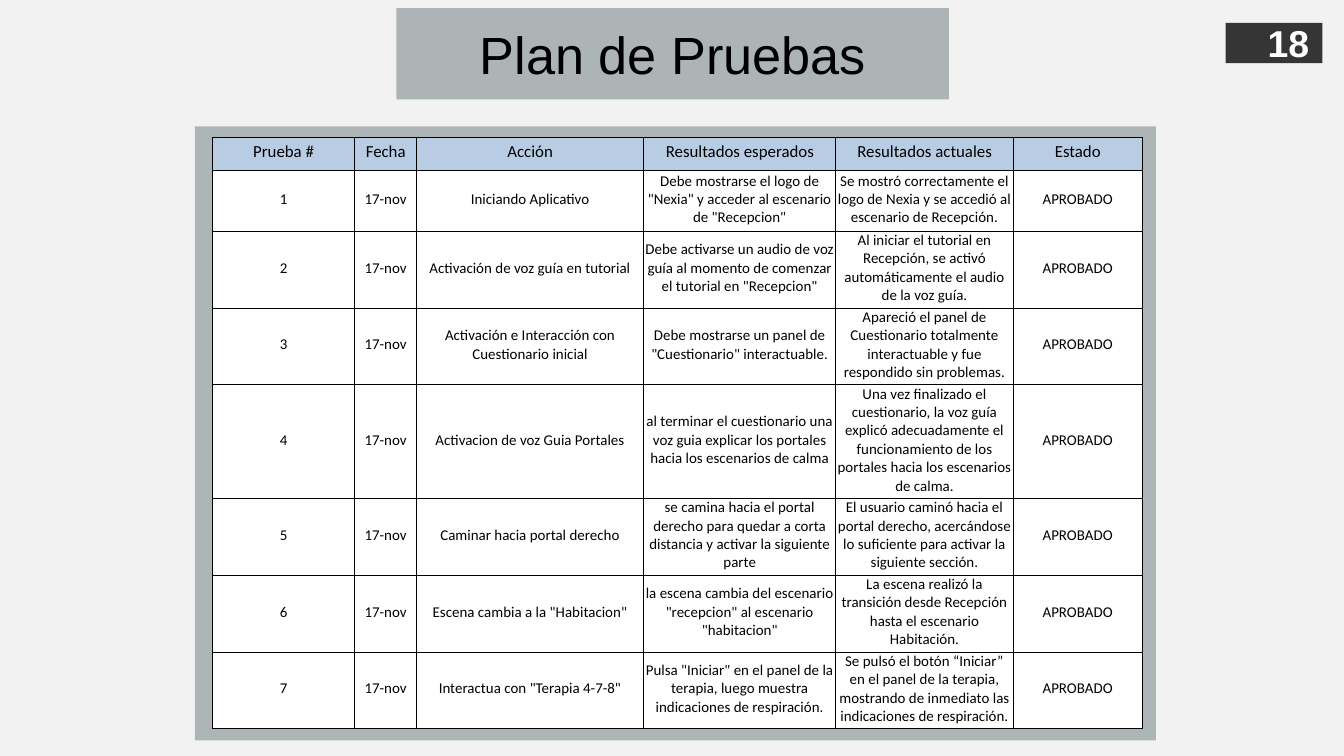
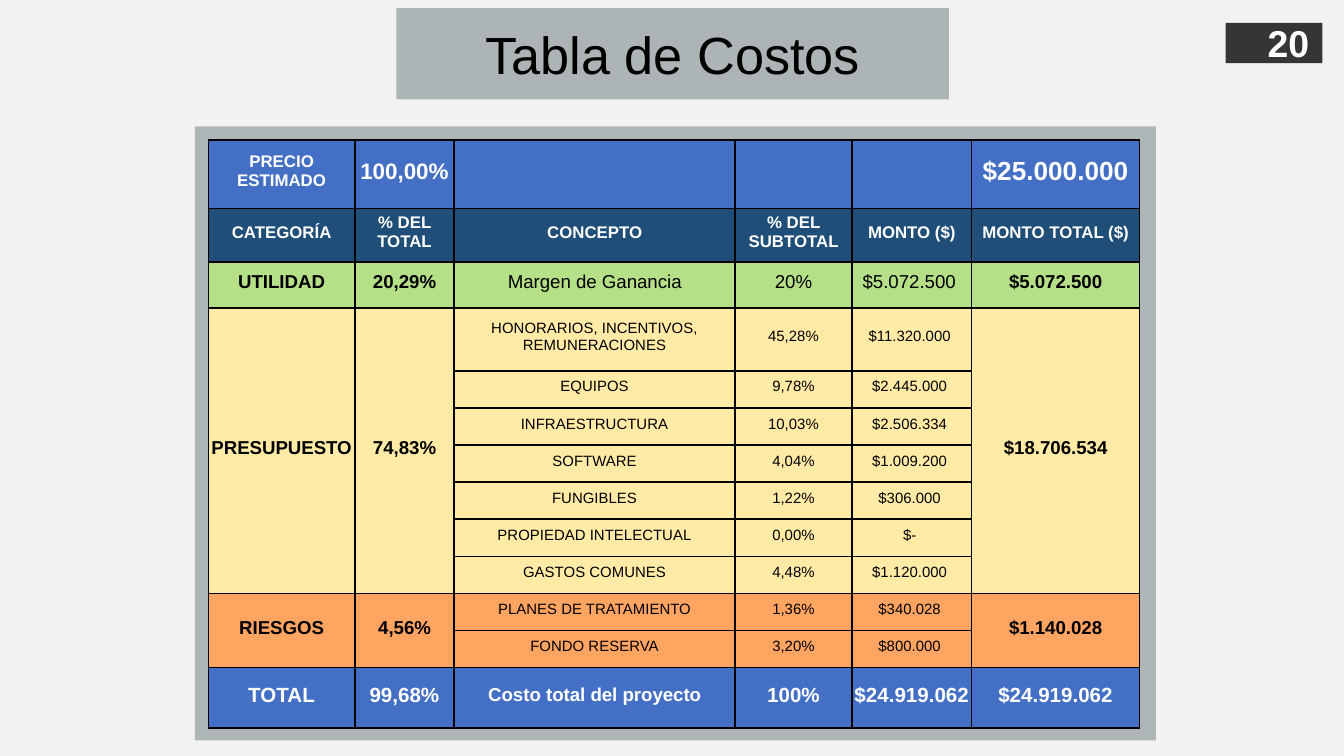
"""Builds the test plan and cost table slides."""
from lxml import etree
from pptx import Presentation
from pptx.dml.color import RGBColor
from pptx.enum import shapes, text
from pptx.oxml.ns import qn
from pptx.util import Inches, Pt

COLORS = {
    "page": "F2F2F2", "panel": "AEB5B7", "title": "A6AEB0", "badge": "191919",
    "black": "000000", "white": "FFFFFF", "heading": "B8CCE4", "total": "4370C4",
    "columns": "1F4E78", "profit": "B5E087", "budget": "FFEAA6", "risk": "FFA561",
}

TEST_HEADINGS = ["Prueba #", "Fecha", "Acción", "Resultados esperados", "Resultados actuales", "Estado"]
TEST_DATE, TEST_STATUS = "17-nov", "APROBADO"
TESTS = [
    ("Iniciando Aplicativo",
     'Debe mostrarse el logo de "Nexia" y acceder al escenario de "Recepcion"',
     "Se mostró correctamente el logo de Nexia y se accedió al escenario de Recepción."),
    ("Activación de voz guía en tutorial",
     'Debe activarse un audio de voz guía al momento de comenzar el tutorial en "Recepcion"',
     "Al iniciar el tutorial en Recepción, se activó automáticamente el audio de la voz guía."),
    ("Activación e Interacción con Cuestionario inicial",
     'Debe mostrarse un panel de "Cuestionario" interactuable.',
     "Apareció el panel de Cuestionario totalmente interactuable y fue respondido sin problemas."),
    ("Activacion de voz Guia Portales",
     "al terminar el cuestionario una voz guia explicar los portales hacia los escenarios de calma",
     "Una vez finalizado el cuestionario, la voz guía explicó adecuadamente el funcionamiento "
     "de los portales hacia los escenarios de calma."),
    ("Caminar hacia portal derecho",
     "se camina hacia el portal derecho para quedar a corta distancia y activar la siguiente parte",
     "El usuario caminó hacia el portal derecho, acercándose lo suficiente para activar "
     "la siguiente sección."),
    ('Escena cambia a la "Habitacion"',
     'la escena cambia del escenario "recepcion" al escenario "habitacion"',
     "La escena realizó la transición desde Recepción hasta el escenario Habitación."),
    ('Interactua con "Terapia 4-7-8"',
     'Pulsa "Iniciar" en el panel de la terapia, luego muestra indicaciones de respiración.',
     "Se pulsó el botón “Iniciar” en el panel de la terapia, mostrando de inmediato "
     "las indicaciones de respiración."),
]
TEST_COLS = [1.06, 0.46, 1.69, 1.43, 1.32, 0.96]
TEST_ROWS = [0.25, 0.45, 0.57, 0.57, 0.84, 0.57, 0.57, 0.57]
TEST_MARGINS = (0, 0, 0, 1.8)

ALL_BOLD = [True] * 6
OUTER_BOLD = [True, True, False, False, False, True]
GROUP_SIZES = [10, 10, 8, 8, 8, 10]
COST_BANDS = [
    {"fill": "total", "ink": "white", "sizes": [9, 12, 9, 9, 9, 14], "bold": ALL_BOLD, "rows": [
        ("PRECIO ESTIMADO", "100,00%", "", "", "", "$25.000.000")]},
    {"fill": "columns", "ink": "white", "sizes": [9] * 6, "bold": ALL_BOLD, "rows": [
        ("CATEGORÍA", "% DEL TOTAL", "CONCEPTO", "% DEL SUBTOTAL", "MONTO ($)", "MONTO TOTAL ($)")]},
    {"fill": "profit", "ink": "black", "sizes": [10] * 6, "bold": OUTER_BOLD, "rows": [
        ("UTILIDAD", "20,29%", "Margen de Ganancia", "20%", "$5.072.500 ", "$5.072.500")]},
    {"fill": "budget", "ink": "black", "sizes": GROUP_SIZES, "bold": OUTER_BOLD, "rows": [
        ("PRESUPUESTO", "74,83%", "HONORARIOS, INCENTIVOS, REMUNERACIONES", "45,28%",
         "$11.320.000 ", "$18.706.534"),
        ("", "", "EQUIPOS", "9,78%", "$2.445.000 ", ""),
        ("", "", "INFRAESTRUCTURA", "10,03%", "$2.506.334 ", ""),
        ("", "", "SOFTWARE", "4,04%", "$1.009.200 ", ""),
        ("", "", "FUNGIBLES", "1,22%", "$306.000 ", ""),
        ("", "", "PROPIEDAD INTELECTUAL", "0,00%", "$- ", ""),
        ("", "", "GASTOS COMUNES", "4,48%", "$1.120.000 ", "")]},
    {"fill": "risk", "ink": "black", "sizes": GROUP_SIZES, "bold": OUTER_BOLD, "rows": [
        ("RIESGOS", "4,56%", "PLANES DE TRATAMIENTO", "1,36%", "$340.028 ", "$1.140.028"),
        ("", "", "FONDO RESERVA", "3,20%", "$800.000 ", "")]},
    {"fill": "total", "ink": "white", "sizes": [11, 11, 10, 11, 11, 11], "bold": ALL_BOLD, "rows": [
        ("TOTAL", "99,68%", "Costo total del proyecto", "100%", "$24.919.062 ", "$24.919.062")]},
]
COST_COLS = [1.09, 0.74, 2.09, 0.87, 0.89, 1.25]
COST_ROWS = [0.51, 0.4, 0.34, 0.47] + [2.21 / 8] * 8 + [0.45]
COST_MARGINS = (0.7, 0.7, 0.7, 3.6)
GROUP_COLS = [0, 1, 5]


def rgb(name):
    return RGBColor.from_string(COLORS[name])


def write(holder, words, size, font="Arial", ink="black", bold=False, align="CENTER"):
    paragraph = holder.text_frame.paragraphs[0]
    paragraph.alignment = getattr(text.PP_ALIGN, align)
    paragraph.font.size = Pt(size)
    if words:
        run = paragraph.add_run()
        run.text = words
        run.font.size, run.font.name, run.font.bold = Pt(size), font, bold
        run.font.color.rgb = rgb(ink)


def add_band(slide, box, fill, opacity=100):
    band = slide.shapes.add_shape(shapes.MSO_SHAPE.RECTANGLE, *map(Inches, box))
    band.shadow.inherit = False
    band.line.fill.background()
    band.fill.solid()
    band.fill.fore_color.rgb = rgb(fill)
    if opacity < 100:
        color = band.fill._xPr.find(".//" + qn("a:srgbClr"))
        etree.SubElement(color, qn("a:alpha"), val=str(opacity * 1000))
    return band


def add_base(deck, title, number):
    slide = deck.slides.add_slide(deck.slide_layouts[6])
    slide.background.fill.solid()
    slide.background.fill.fore_color.rgb = rgb("page")
    add_band(slide, (1.45, 0.94, 7.15, 4.57), "panel")
    write(add_band(slide, (2.95, 0.06, 4.11, 0.68), "title", 90), title, 28)
    badge = add_band(slide, (9.12, 0.17, 0.72, 0.3), "badge", 87)
    write(badge, number, 20, ink="white", bold=True, align="RIGHT")
    return slide


def add_grid(slide, left, top, cols, rows):
    frame = slide.shapes.add_table(len(rows), len(cols), Inches(left), Inches(top),
                                   Inches(sum(cols)), Inches(sum(rows)))
    grid = frame.table
    grid.first_row = grid.horz_banding = False
    for column, width in zip(grid.columns, cols):
        column.width = Inches(width)
    for row, height in zip(grid.rows, rows):
        row.height = Inches(height)
    return grid


def style_cell(cell, fill, border, margins):
    cell.vertical_anchor = text.MSO_ANCHOR.MIDDLE
    cell.margin_left, cell.margin_top, cell.margin_right, cell.margin_bottom = map(Pt, margins)
    properties = cell._tc.get_or_add_tcPr()
    for side in ("lnL", "lnR", "lnT", "lnB"):
        line = etree.SubElement(properties, qn("a:" + side), w=str(Pt(border)))
        solid = etree.SubElement(line, qn("a:solidFill"))
        etree.SubElement(solid, qn("a:srgbClr"), val=COLORS["black"])
    cell.fill.solid()
    cell.fill.fore_color.rgb = rgb(fill)


def add_test_plan(deck):
    slide = add_base(deck, "Plan de Pruebas", "18")
    grid = add_grid(slide, 1.58, 1.02, TEST_COLS, TEST_ROWS)
    lines = [TEST_HEADINGS] + [(str(n), TEST_DATE, *test, TEST_STATUS) for n, test in enumerate(TESTS, 1)]
    for r, line in enumerate(lines):
        for c, words in enumerate(line):
            cell = grid.cell(r, c)
            style_cell(cell, "white" if r else "heading", 0.5, TEST_MARGINS)
            write(cell, words, 8 if r else 9, font="Calibri")


def add_costs(deck):
    slide = add_base(deck, "Tabla de Costos", "20")
    grid = add_grid(slide, 1.55, 1.04, COST_COLS, COST_ROWS)
    start = 0
    for band in COST_BANDS:
        for r, line in enumerate(band["rows"], start):
            for c, words in enumerate(line):
                cell = grid.cell(r, c)
                style_cell(cell, band["fill"], 1, COST_MARGINS)
                write(cell, words, band["sizes"][c], ink=band["ink"], bold=band["bold"][c])
        end = start + len(band["rows"])
        if end - start > 1:
            for c in GROUP_COLS:
                grid.cell(start, c).merge(grid.cell(end - 1, c))
        start = end


def main():
    deck = Presentation()
    deck.slide_width = Inches(10)
    deck.slide_height = deck.slide_width * 9 // 16
    add_test_plan(deck)
    add_costs(deck)
    deck.save("out.pptx")


if __name__ == "__main__":
    main()
